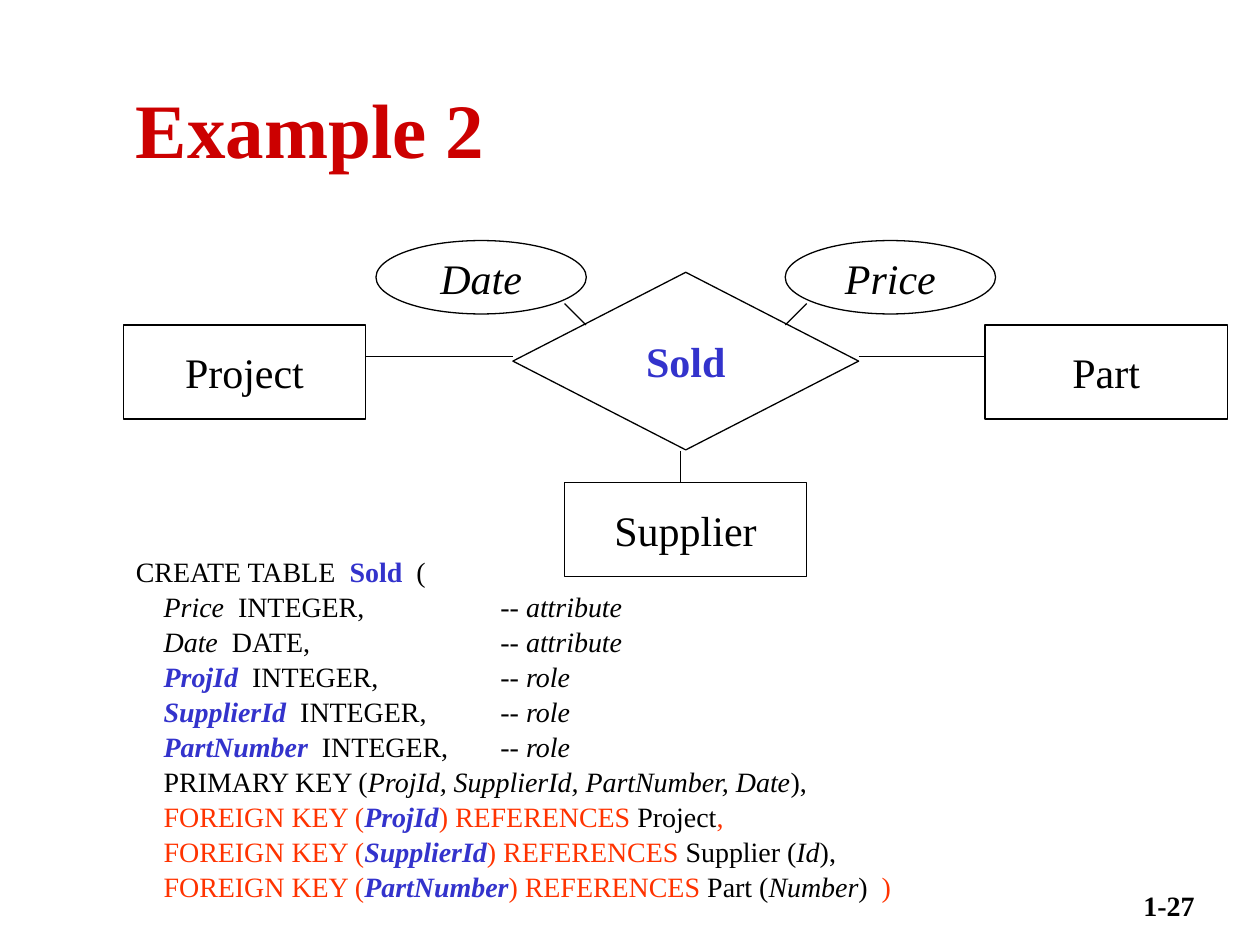
from lxml.etree import SubElement
from pptx import Presentation
from pptx.dml.color import RGBColor
from pptx.enum.shapes import MSO_CONNECTOR, MSO_SHAPE
from pptx.enum.text import MSO_ANCHOR, PP_ALIGN
from pptx.oxml.ns import qn
from pptx.util import Cm, Pt

BLACK = RGBColor(0, 0, 0)
WHITE = RGBColor(255, 255, 255)
BLUE = RGBColor(0x33, 0x33, 0xCC)
RED = RGBColor(0xCC, 0, 0)
ORANGE = RGBColor(0xFF, 0x33, 0)


def style(run, size, color=BLACK, bold=False, italic=False):
    font = run.font
    font.name = "Times New Roman"
    font.size = Pt(size)
    font.color.rgb = color
    font.bold = bold
    font.italic = italic


deck = Presentation()
deck.slide_width, deck.slide_height = Cm(25.4), Cm(19.05)
slide = deck.slides.add_slide(deck.slide_layouts[6])
shapes = slide.shapes

# Page number and title
for text, spot, size, color, align, anchor in (
    ("1-27", (21.89, 17.78, 2.44, 1.27), 16, BLACK, PP_ALIGN.RIGHT, MSO_ANCHOR.TOP),
    ("Example 2", (2.49, 0.99, 21.59, 3.18), 44, RED, PP_ALIGN.LEFT, MSO_ANCHOR.MIDDLE),
):
    frame = shapes.add_textbox(*map(Cm, spot)).text_frame
    frame.word_wrap = True
    frame.vertical_anchor = anchor
    frame.text = text
    frame.paragraphs[0].alignment = align
    style(frame.paragraphs[0].runs[0], size, color, bold=True)

# Diagram: relationship, entities and attributes
RECT, OVAL = (4.88, 1.9), (4.24, 1.48)
for text, kind, left, top, (width, height) in (
    ("Sold", MSO_SHAPE.DIAMOND, 10.34, 5.49, (6.97, 3.58)),
    ("Project", MSO_SHAPE.RECTANGLE, 2.49, 6.55, RECT),
    ("Part", MSO_SHAPE.RECTANGLE, 19.86, 6.55, RECT),
    ("Supplier", MSO_SHAPE.RECTANGLE, 11.38, 9.73, RECT),
    ("Date", MSO_SHAPE.OVAL, 7.58, 4.85, OVAL),
    ("Price", MSO_SHAPE.OVAL, 15.83, 4.85, OVAL),
):
    node = shapes.add_shape(kind, Cm(left), Cm(top), Cm(width), Cm(height))
    node.shadow.inherit = False
    node.fill.solid()
    node.fill.fore_color.rgb = WHITE
    node.line.color.rgb = BLACK
    node.line.width = Pt(0.75)
    frame = node.text_frame
    frame.word_wrap = False
    frame.vertical_anchor = MSO_ANCHOR.MIDDLE
    frame.text = text
    frame.paragraphs[0].alignment = PP_ALIGN.CENTER
    hub = kind == MSO_SHAPE.DIAMOND
    style(frame.paragraphs[0].runs[0], 24, BLUE if hub else BLACK,
          bold=hub, italic=kind == MSO_SHAPE.OVAL)

# Links
for ends in (
    (17.31, 7.19, 19.86, 7.19),
    (10.34, 7.19, 7.37, 7.19),
    (11.38, 6.12, 11.81, 6.55),
    (13.72, 9.09, 13.72, 9.73),
    (16.26, 6.12, 15.83, 6.55),
):
    link = shapes.add_connector(MSO_CONNECTOR.STRAIGHT, *map(Cm, ends))
    link.line.color.rgb = BLACK
    link.line.width = Pt(0.75)
    SubElement(link._element.spPr, qn("a:effectLst"))

# SQL text: each line is a list of (text, look) pairs
LOOKS = {
    "plain": (BLACK, False, False),
    "slant": (BLACK, False, True),
    "name": (BLUE, True, False),
    "key": (BLUE, True, True),
    "ref": (ORANGE, False, False),
}
lines = [[("CREATE TABLE  ", "plain"), ("Sold ", "name"), (" (", "plain")]]
for field, look, kind, note in (
    ("Price", "slant", "INTEGER", "attribute"),
    ("Date", "slant", "DATE", "attribute"),
    ("ProjId", "key", "INTEGER", "role"),
    ("SupplierId", "key", "INTEGER", "role"),
    ("PartNumber", "key", "INTEGER", "role"),
):
    lines.append([("\t", "plain"), (field, look),
                  (f"  {kind},\t-- ", "plain"), (note, "slant")])
lines.append([("\tPRIMARY KEY (", "plain"),
              ("ProjId, SupplierId, PartNumber, Date", "slant"), ("),", "plain")])
for field, tail in (
    ("ProjId", [("Project", "plain"), (",", "ref")]),
    ("SupplierId", [("Supplier (", "plain"), ("Id", "slant"), ("),", "plain")]),
    ("PartNumber", [("Part (", "plain"), ("Number", "slant"),
                    (")", "plain"), ("  )", "ref")]),
):
    lines.append([("\tFOREIGN KEY (", "ref"), (field, "key"),
                  (") REFERENCES ", "ref"), *tail])

frame = shapes.add_textbox(Cm(2.49), Cm(11.05), Cm(15.8), Cm(7.04)).text_frame
frame.word_wrap = False
for row, line in enumerate(lines):
    para = frame.add_paragraph() if row else frame.paragraphs[0]
    para.space_before = Pt(0.8)
    # Tab stops for the indent and the comment column
    tabs = SubElement(para._p.get_or_add_pPr(), qn("a:tabLst"))
    for stop in (0.56, 7.35):
        SubElement(tabs, qn("a:tab"), pos=str(Cm(stop)), algn="l")
    for text, look in line:
        run = para.add_run()
        run.text = text
        style(run, 16, *LOOKS[look])

deck.save("out.pptx")
